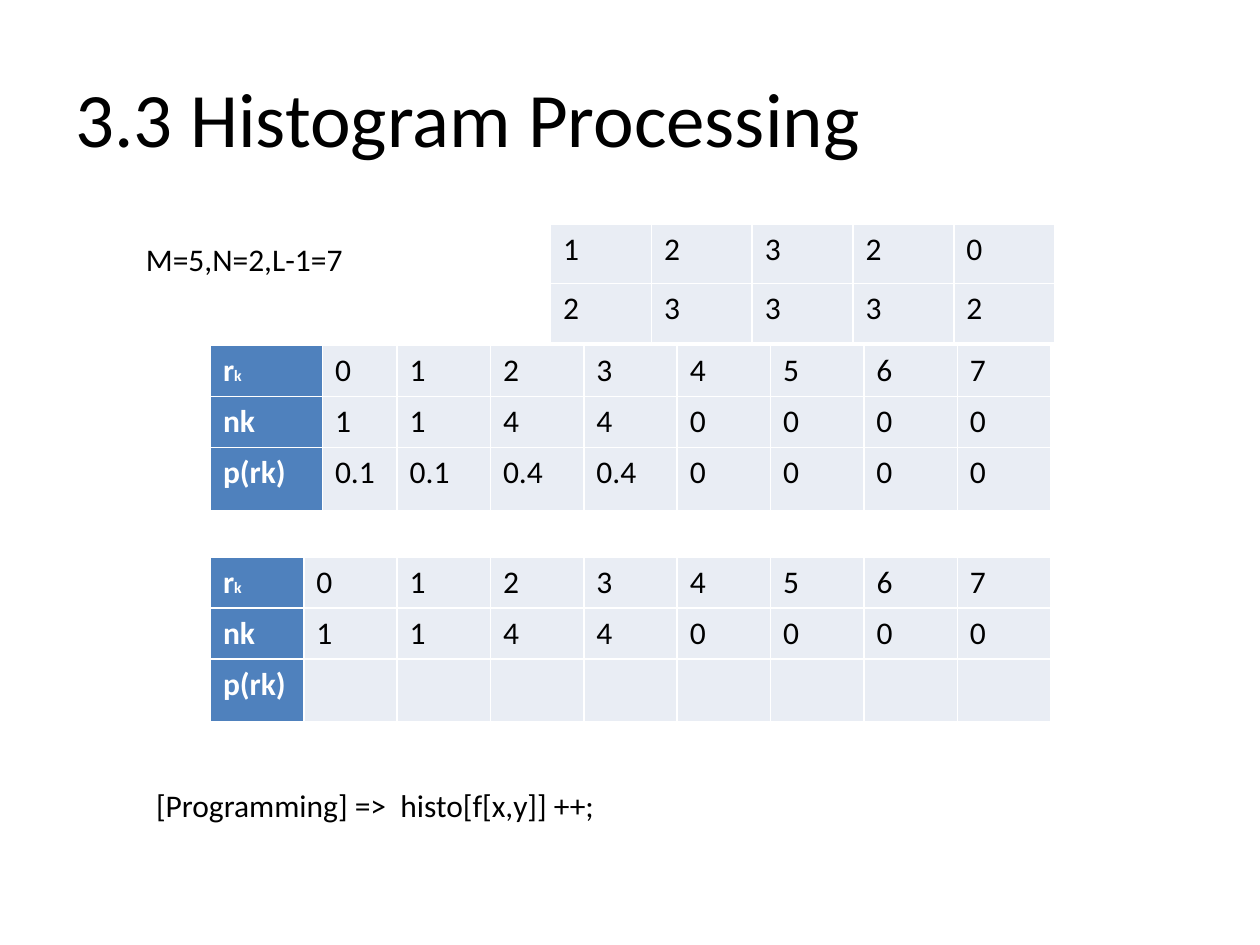
from lxml.etree import SubElement
from pptx import Presentation
from pptx.dml.color import RGBColor
from pptx.enum.text import MSO_ANCHOR, PP_ALIGN
from pptx.oxml.ns import qn
from pptx.util import Inches, Pt

SIZE = (10, 7.5)
BLACK, WHITE, BLUE, PALE = "000000", "FFFFFF", "4F81BD", "E9EDF4"
BODY = {"name": "Calibri", "size": Pt(18), "bold": False}
HEAD = {**BODY, "bold": True}
SUB = {**HEAD, "size": Pt(9)}
TITLE = {**BODY, "size": Pt(44)}

LEVELS = [("r", "k"), *"01234567"]
COUNTS = ["nk", *"11440000"]
SHARES = ["p(rk)", "0.1", "0.1", "0.4", "0.4", *"0000"]
COL = 6.67 / 9
HIST_ROWS = [0.38, 0.38, 0.5]

TABLES = [
    {"at": (4.37, 1.78), "cols": [0.8] * 5, "rows": [0.47] * 2,
     "cells": ["12320", "23332"], "head": False},
    {"at": (1.67, 2.74), "cols": [1.2 * COL, 0.8 * COL] + [COL] * 7,
     "rows": HIST_ROWS, "cells": [LEVELS, COUNTS, SHARES], "head": True},
    {"at": (1.67, 4.42), "cols": [COL] * 9, "rows": HIST_ROWS,
     "cells": [LEVELS, COUNTS, ["p(rk)"] + [""] * 8], "head": True},
]
NOTES = [
    ("M=5,N=2,L-1=7", (1.06, 1.86, 3.86, 0.4)),
    ("[Programming] =>  histo[f[x,y]] ++;", (1.14, 6.19, 4.96, 0.4)),
]


def rgb(color):
    return RGBColor.from_string(color)


def style(font, fmt, color):
    for key, value in fmt.items():
        setattr(font, key, value)
    font.color.rgb = rgb(color)


def write(p, text, fmt=BODY, color=BLACK):
    r = p.add_run()
    r.text = text
    style(r.font, fmt, color)


def paint(cell, color):
    tc_pr = cell._tc.get_or_add_tcPr()
    for side in "LRTB":
        ln = SubElement(tc_pr, qn(f"a:ln{side}"), w=str(Pt(1)))
        fill = SubElement(ln, qn("a:solidFill"))
        SubElement(fill, qn("a:srgbClr"), val=WHITE)
    cell.fill.solid()
    cell.fill.fore_color.rgb = rgb(color)


def add_grid(s, at, cols, rows, cells, head):
    box = map(Inches, (*at, sum(cols), sum(rows)))
    table = s.shapes.add_table(len(rows), len(cols), *box).table
    table.first_row = table.horz_banding = False
    table.first_col = head
    for column, width in zip(table.columns, cols):
        column.width = Inches(width)
    for i, (height, values) in enumerate(zip(rows, cells)):
        table.rows[i].height = Inches(height)
        for j, value in enumerate(values):
            cell = table.cell(i, j)
            is_head = head and j == 0
            paint(cell, BLUE if is_head else PALE)
            p = cell.text_frame.paragraphs[0]
            formats = (HEAD, SUB) if is_head else (BODY,)
            parts = value if isinstance(value, tuple) else (value,)
            for part, fmt in zip(parts, formats):
                if part:
                    write(p, part, fmt, WHITE if is_head else BLACK)


def main():
    """Build the histogram processing slide."""
    prs = Presentation()
    prs.slide_width, prs.slide_height = map(Inches, SIZE)
    s = prs.slides.add_slide(prs.slide_layouts[5])
    title = s.shapes.title
    title.left, title.top, title.width, title.height = map(
        Inches, (0.5, 0.3, 9, 1.25))
    title.text_frame.vertical_anchor = MSO_ANCHOR.MIDDLE
    p = title.text_frame.paragraphs[0]
    p.alignment = PP_ALIGN.LEFT
    write(p, "3.3 Histogram Processing", TITLE)
    for grid in TABLES:
        add_grid(s, **grid)
    for text, box in NOTES:
        tf = s.shapes.add_textbox(*map(Inches, box)).text_frame
        tf.word_wrap = True
        write(tf.paragraphs[0], text)
    prs.save("out.pptx")


main()
